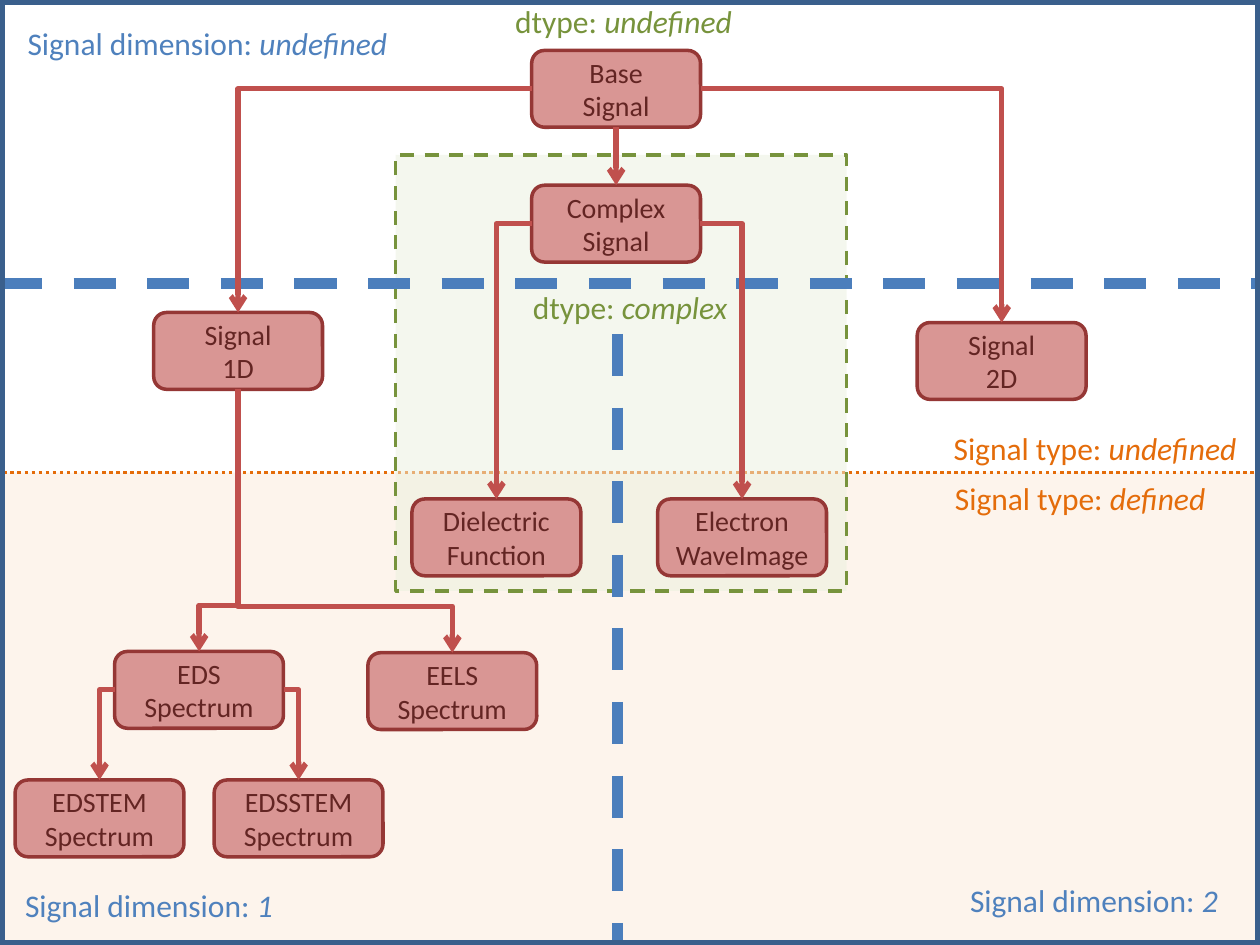
"""Signal class hierarchy, divided by dimension, dtype and signal type."""
from pptx import Presentation, util as u
from pptx.dml.color import RGBColor
from pptx.enum import dml, shapes, text
from pptx.oxml.ns import qn
from lxml import etree

COLORS = {
    "blue": "4F81BD", "divider": "4B7EBC", "frame": "3A5F8C",
    "green": "77933C", "pale green": "EBF1DE",
    "orange": "E46C0A", "pale orange": "FDEADA",
    "arrow": "C0504D", "box": "D99694", "box edge": "953735", "box text": "632523",
}
BOX_W, BOX_H = 1.34, 0.61
TOP, LEFT, BOTTOM, RIGHT = range(4)
DASH = dml.MSO_LINE.DASH
Inches = u.Inches


def outline(item, color, width, dash=None):
    item.line.color.rgb = RGBColor.from_string(COLORS[color])
    item.line.width = u.Pt(width)
    if dash:
        item.line.dash_style = dash
    if item.element.spPr.find(qn("a:effectLst")) is None:
        etree.SubElement(item.element.spPr, qn("a:effectLst"))


def write(paragraph, words, size, color, italic=None):
    run = paragraph.add_run()
    run.text = words
    for name, value in {"name": "Calibri", "size": u.Pt(size), "italic": italic}.items():
        setattr(run.font, name, value)
    run.font.color.rgb = RGBColor.from_string(COLORS[color])


prs = Presentation()
prs.slide_width, prs.slide_height = Inches(10), Inches(7.5)
slide = prs.slides.add_slide(prs.slide_layouts[6])

regions = [
    ((0, 3.75, 10, 3.75), "pale orange", "orange", 2, dml.MSO_LINE.ROUND_DOT),
    ((3.14, 1.23, 3.58, 3.46), "pale green", "green", 2, DASH),
    ((0, 0, 10, 7.5), None, "frame", 6, None),
]
for place, fill, edge, width, dash in regions:
    region = slide.shapes.add_shape(shapes.MSO_SHAPE.RECTANGLE, *map(Inches, place))
    if fill:
        region.fill.solid()
        region.fill.fore_color.rgb = RGBColor.from_string(COLORS[fill])
        tint = region.element.spPr.find(qn("a:solidFill")).find(qn("a:srgbClr"))
        etree.SubElement(tint, qn("a:alpha"), val="50000")
    else:
        region.fill.background()
    outline(region, edge, width, dash)
    if fill == "pale green":
        for ends in [(0, 2.25, 10, 2.25), (4.9, 2.65, 4.9, 7.5)]:
            divider = slide.shapes.add_connector(
                shapes.MSO_CONNECTOR.STRAIGHT, *map(Inches, ends))
            outline(divider, "divider", 6, DASH)

classes = {
    "Base\nSignal": (4.22, 0.4),
    "Signal\n1D": (1.22, 2.48),
    "Signal\n2D": (7.28, 2.56),
    "Dielectric\nFunction": (3.27, 3.96),
    "Electron\nWaveImage": (5.22, 3.96),
    "EDS\nSpectrum": (0.91, 5.17),
    "EDSSTEM\nSpectrum": (1.7, 6.19),
    "EDSTEM\nSpectrum": (0.12, 6.19),
    "EELS\nSpectrum": (2.92, 5.18),
    "Complex\nSignal": (4.22, 1.47),
}
boxes = {}
for label, (left, top) in classes.items():
    box = slide.shapes.add_shape(
        shapes.MSO_SHAPE.ROUNDED_RECTANGLE, *map(Inches, (left, top, BOX_W, BOX_H)))
    box.fill.solid()
    box.fill.fore_color.rgb = RGBColor.from_string(COLORS["box"])
    outline(box, "box edge", 2)
    frame = box.text_frame
    frame.vertical_anchor = text.MSO_ANCHOR.MIDDLE
    first, second = label.split("\n")
    for paragraph, words in [(frame.paragraphs[0], first), (frame.add_paragraph(), second)]:
        paragraph.alignment = text.PP_ALIGN.CENTER
        write(paragraph, words, 16, "box text")
    boxes[first if first != "Signal" else second] = box

inheritance = [
    ("Complex", LEFT, "Dielectric"), ("Complex", RIGHT, "Electron"),
    ("Base", RIGHT, "2D"), ("Base", LEFT, "1D"),
    ("1D", BOTTOM, "EDS"), ("1D", BOTTOM, "EELS"),
    ("EDS", LEFT, "EDSTEM"), ("EDS", RIGHT, "EDSSTEM"),
    ("Base", BOTTOM, "Complex"),
]
for parent, side, child in inheritance:
    straight = boxes[parent].left == boxes[child].left
    kind = shapes.MSO_CONNECTOR.STRAIGHT if straight else shapes.MSO_CONNECTOR.ELBOW
    arrow = slide.shapes.add_connector(kind, 0, 0, 0, 0)
    arrow.begin_connect(boxes[parent], side)
    arrow.end_connect(boxes[child], TOP)
    geometry = arrow.element.spPr.find(qn("a:prstGeom"))
    if side != BOTTOM:
        geometry.set("prst", "bentConnector2")
    elif not straight:
        run, drop = arrow.end_x - arrow.begin_x, arrow.end_y - arrow.begin_y
        mid_x, mid_y = arrow.begin_x + run // 2, arrow.begin_y + drop // 2
        xfrm = arrow.element.spPr.find(qn("a:xfrm"))
        xfrm.attrib.clear()
        xfrm.set("rot", "5400000" if run < 0 else "16200000")
        if run > 0:
            xfrm.set("flipH", "1")
        arrow.width, arrow.height = drop, abs(run)
        arrow.left, arrow.top = mid_x - drop // 2, mid_y - abs(run) // 2
        guides = geometry.find(qn("a:avLst"))
        etree.SubElement(guides, qn("a:gd"), name="adj1", fmla="val 82400")
    outline(arrow, "arrow", 3)
    etree.SubElement(arrow.line._get_or_add_ln(), qn("a:tailEnd"), type="arrow")

captions = [
    (4.13, 2.24, 1.78, "dtype: ", "complex", "green"),
    (0.12, 0.14, 3.12, "Signal dimension: ", "undefined", "blue"),
    (0.1, 6.98, 2.19, "Signal dimension: ", "1", "blue"),
    (7.6, 6.94, 2.19, "Signal dimension: ", "2", "blue"),
    (7.47, 3.36, 2.5, "Signal type: ", "undefined", "orange"),
    (7.48, 3.75, 2.21, "Signal type: ", "defined", "orange"),
    (3.99, -0.03, 1.97, "dtype: ", "undefined", "green"),
]
for left, top, width, prefix, value, color in captions:
    caption = slide.shapes.add_textbox(*map(Inches, (left, top, width, 0.4)))
    caption.text_frame.word_wrap = False
    caption.text_frame.auto_size = text.MSO_AUTO_SIZE.SHAPE_TO_FIT_TEXT
    paragraph = caption.text_frame.paragraphs[0]
    write(paragraph, prefix, 18, color)
    write(paragraph, value, 18, color, italic=True)

prs.save("out.pptx")
